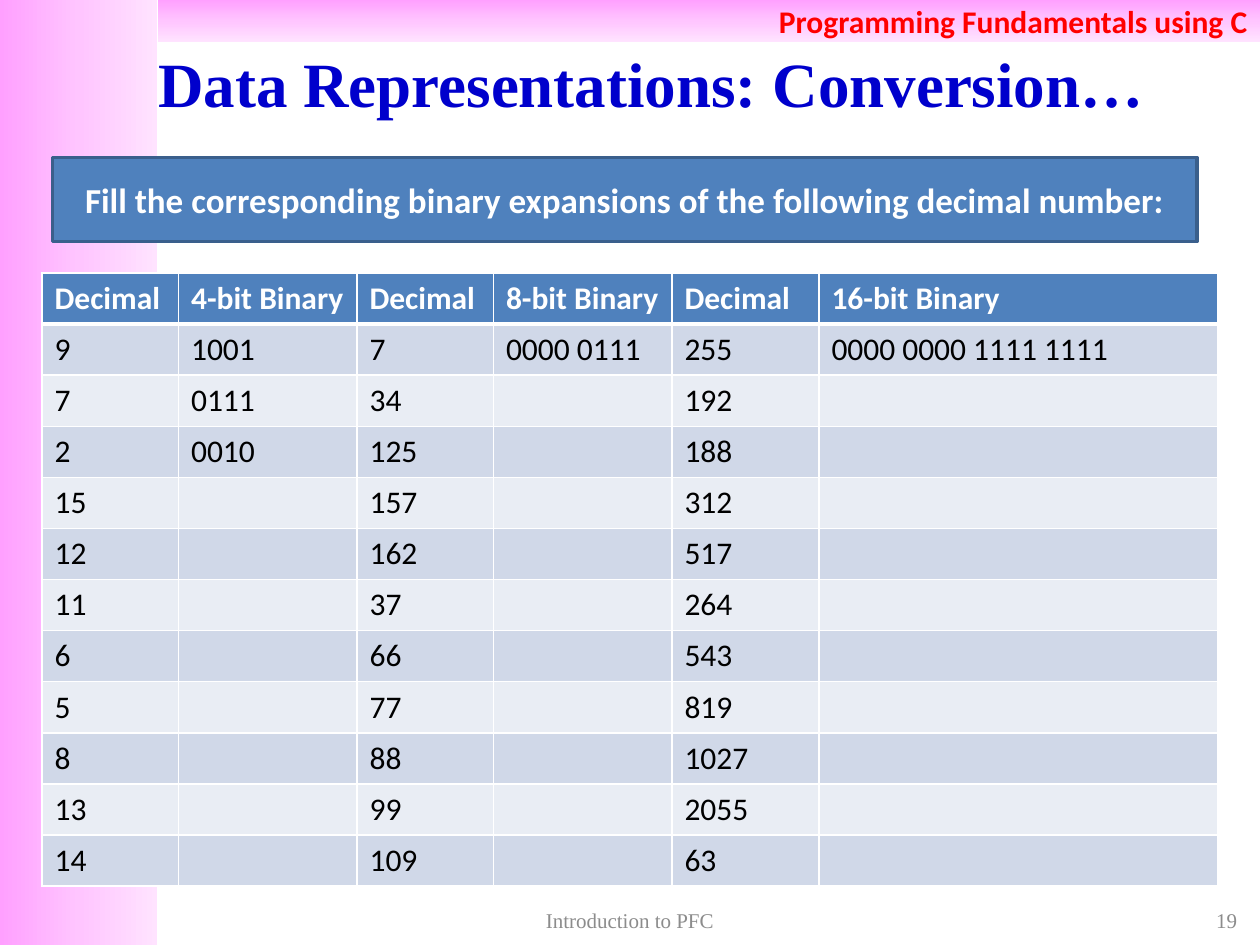
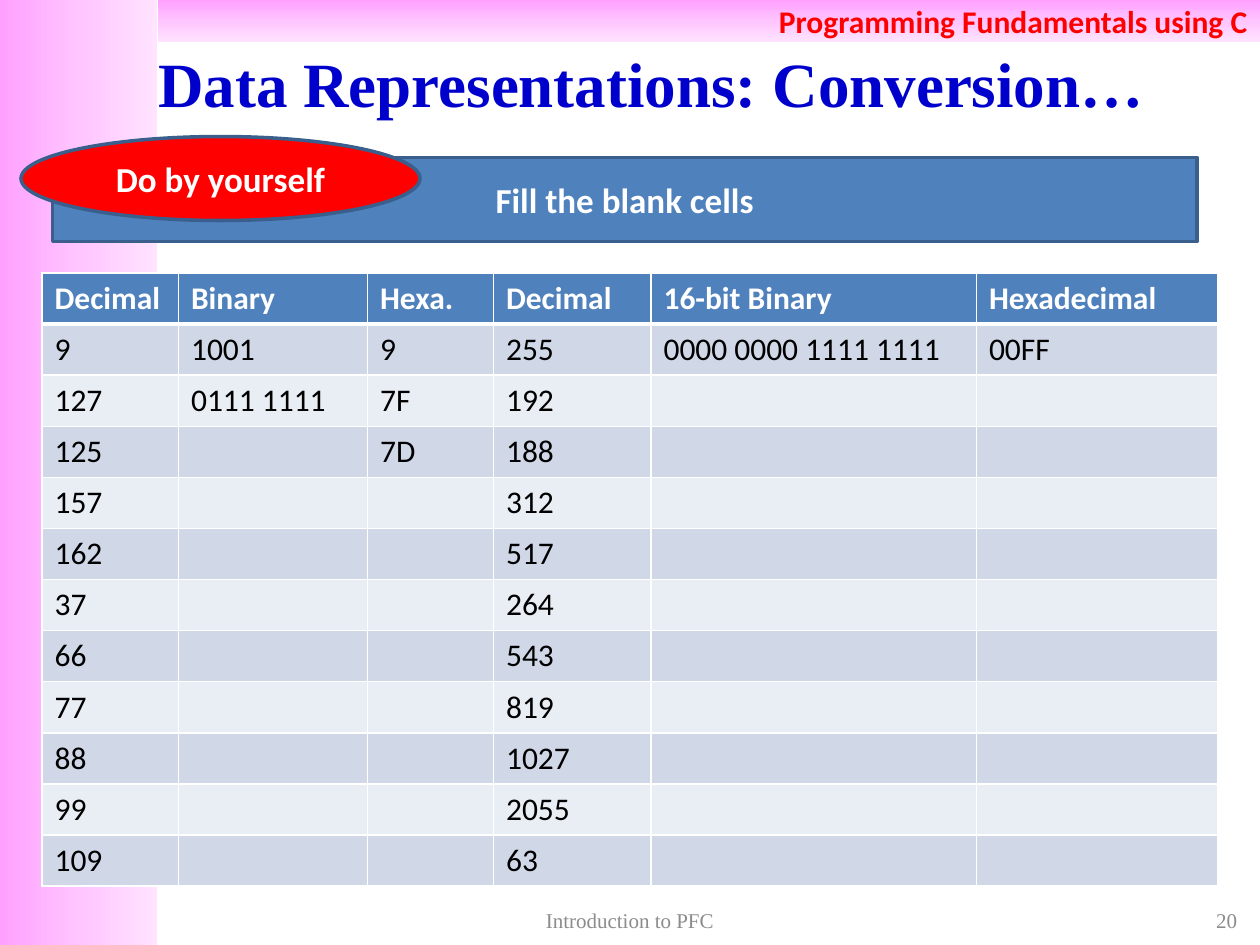
"""Builds two exercise slides on converting numbers between bases."""
import copy
import itertools

import pptx
import pptx.dml.color
import pptx.enum.shapes
import pptx.enum.text
import pptx.oxml
import pptx.oxml.ns
import pptx.util

COLORS = {
    "white": "FFFFFF", "black": "000000", "red": "FF0000", "title": "0000CC",
    "footer": "8C8C8C", "blue": "4F81BD", "outline": "3A5F8C",
    "odd_row": "D0D8E8", "even_row": "E9EDF4",
}
BAND_STOPS = {0: "FFA0FF", 50: "FFC5FF", 100: "FFE3FF"}
SANS, SERIF = "Calibri", "Times New Roman"
COLUMNS, ROWS = 120, 90
UNIT = pptx.util.Inches(10) // COLUMNS
TABLE_LEFT, TABLE_TOP, TABLE_HEIGHT = 4, 26, 58.4
SHAPES = pptx.enum.shapes.MSO_SHAPE
ALIGN = pptx.enum.text.PP_ALIGN

BYTE_DECIMALS = ["125", "157", "162", "37", "66", "77", "88", "99", "109"]
WORD_DECIMALS = ["255", "192", "188", "312", "517", "264", "543", "819",
                 "1027", "2055", "63"]
WORD_BINARY = ["0000 0000 1111 1111"]
BINARY_EXERCISE = [
    ("Decimal", 13, ["9", "7", "2", "15", "12", "11", "6", "5", "8", "13", "14"]),
    ("4-bit Binary", 17, ["1001", "0111", "0010"]),
    ("Decimal", 13, ["7", "34"] + BYTE_DECIMALS),
    ("8-bit Binary", 17, ["0000 0111"]),
    ("Decimal", 14, WORD_DECIMALS),
    ("16-bit Binary", 38, WORD_BINARY),
]
HEXADECIMAL_EXERCISE = [
    ("Decimal", 13, ["9", "127"] + BYTE_DECIMALS),
    ("Binary", 18, ["1001", "0111 1111"]),
    ("Hexa.", 12, ["9", "7F", "7D"]),
    ("Decimal", 15, WORD_DECIMALS),
    ("16-bit Binary", 31, WORD_BINARY),
    ("Hexadecimal", 23, ["00FF"]),
]


def rgb(name):
    """Return the named palette colour."""
    return pptx.dml.color.RGBColor.from_string(COLORS[name])


def grid(*lengths):
    """Turn grid columns and rows into slide lengths."""
    return [round(length * UNIT) for length in lengths]


def write(frame, text, size, font, color, bold=False, align=ALIGN.CENTER):
    """Put one formatted line of text into a text frame."""
    frame.text = text
    line = frame.paragraphs[0]
    line.alignment = align
    for run in line.runs:
        run.font.size = pptx.util.Pt(size)
        run.font.name = font
        run.font.bold = bold
        run.font.color.rgb = rgb(color)


def add_label(slide, place, *style, **options):
    """Add a vertically centred text box."""
    frame = slide.shapes.add_textbox(*grid(*place)).text_frame
    frame.word_wrap = True
    frame.vertical_anchor = pptx.enum.text.MSO_ANCHOR.MIDDLE
    write(frame, *style, **options)


def add_band(slide, place, angle):
    """Add a borderless pink gradient band."""
    band = slide.shapes.add_shape(SHAPES.RECTANGLE, *grid(*place))
    band.shadow.inherit = False
    band.line.fill.background()
    band.fill.gradient()
    band.fill.gradient_angle = angle
    stops = band.element.spPr.find(".//" + pptx.oxml.ns.qn("a:gsLst"))
    stops.insert(1, copy.deepcopy(stops[0]))
    for stop, (position, color) in zip(band.fill.gradient_stops, BAND_STOPS.items()):
        stop.position = position / 100
        stop.color.rgb = pptx.dml.color.RGBColor.from_string(color)
    return band


def add_callout(slide, outline, place, fill, text):
    """Add a filled shape holding a bold white instruction."""
    callout = slide.shapes.add_shape(outline, *grid(*place))
    callout.shadow.inherit = False
    callout.fill.solid()
    callout.fill.fore_color.rgb = rgb(fill)
    callout.line.color.rgb = rgb("outline")
    callout.line.width = pptx.util.Pt(2)
    callout.text_frame.vertical_anchor = pptx.enum.text.MSO_ANCHOR.MIDDLE
    write(callout.text_frame, text, 20, SANS, "white", bold=True)


def set_borders(cell, top, bottom):
    """Draw white borders around a cell, with widths in points."""
    widths = {"lnL": 1, "lnR": 1, "lnT": top, "lnB": bottom}
    for index, (side, width) in enumerate(widths.items()):
        border = pptx.oxml.parse_xml(
            f'<a:{side} {pptx.oxml.ns.nsdecls("a")} w="{pptx.util.Pt(width)}">'
            f'<a:solidFill><a:srgbClr val="{COLORS["white"]}"/></a:solidFill>'
            f'</a:{side}>')
        cell._tc.get_or_add_tcPr().insert(index, border)


def add_exercise(slide, exercise):
    """Add a conversion table from (heading, width, values) columns."""
    headings, widths, values = zip(*exercise)
    records = [headings, *itertools.zip_longest(*values, fillvalue="")]
    place = grid(TABLE_LEFT, TABLE_TOP, sum(widths), TABLE_HEIGHT)
    table = slide.shapes.add_table(len(records), len(widths), *place).table
    for column, width in zip(table.columns, widths):
        column.width = grid(width)[0]
    for number, record in enumerate(records):
        header = number == 0
        fill = "blue" if header else "odd_row" if number % 2 else "even_row"
        for position, text in enumerate(record):
            cell = table.cell(number, position)
            cell.fill.solid()
            cell.fill.fore_color.rgb = rgb(fill)
            set_borders(cell, 3 if number == 1 else 1, 3 if header else 1)
            write(cell.text_frame, text, 18, SANS, "white" if header else "black",
                  bold=header, align=ALIGN.LEFT)


def add_exercise_slide(deck, number, instruction, exercise):
    """Add a slide with the shared frame, an instruction and a table."""
    slide = deck.slides.add_slide(deck.slide_layouts[6])
    add_band(slide, (0, 0, 15, ROWS), 0)
    course = add_band(slide, (15, 0, COLUMNS - 15, 4), 270)
    course.text_frame.vertical_anchor = pptx.enum.text.MSO_ANCHOR.MIDDLE
    write(course.text_frame, "Programming Fundamentals using C", 18, SANS, "red",
          bold=True, align=ALIGN.RIGHT)
    add_label(slide, (10, 3.6, 104, 8.4), "Data Representations: Conversion…",
              36, SERIF, "title", bold=True)
    add_label(slide, (91, 86, 28, 3.2), str(number), 12, SERIF, "footer",
              align=ALIGN.RIGHT)
    add_label(slide, (41, 86, 38, 3.2), "Introduction to PFC", 12, SERIF, "footer")
    add_exercise(slide, exercise)
    add_callout(slide, SHAPES.RECTANGLE, (5, 15, 109, 8), "blue", instruction)
    return slide


def main():
    """Build and save the presentation."""
    deck = pptx.Presentation()
    deck.slide_width, deck.slide_height = grid(COLUMNS, ROWS)
    add_exercise_slide(
        deck, 19,
        "Fill the corresponding binary expansions of the following decimal number:",
        BINARY_EXERCISE)
    practice = add_exercise_slide(deck, 20, "Fill the blank cells",
                                  HEXADECIMAL_EXERCISE)
    add_callout(practice, SHAPES.OVAL, (2, 13, 38, 8), "red", "Do by yourself")
    deck.save("out.pptx")


if __name__ == "__main__":
    main()
